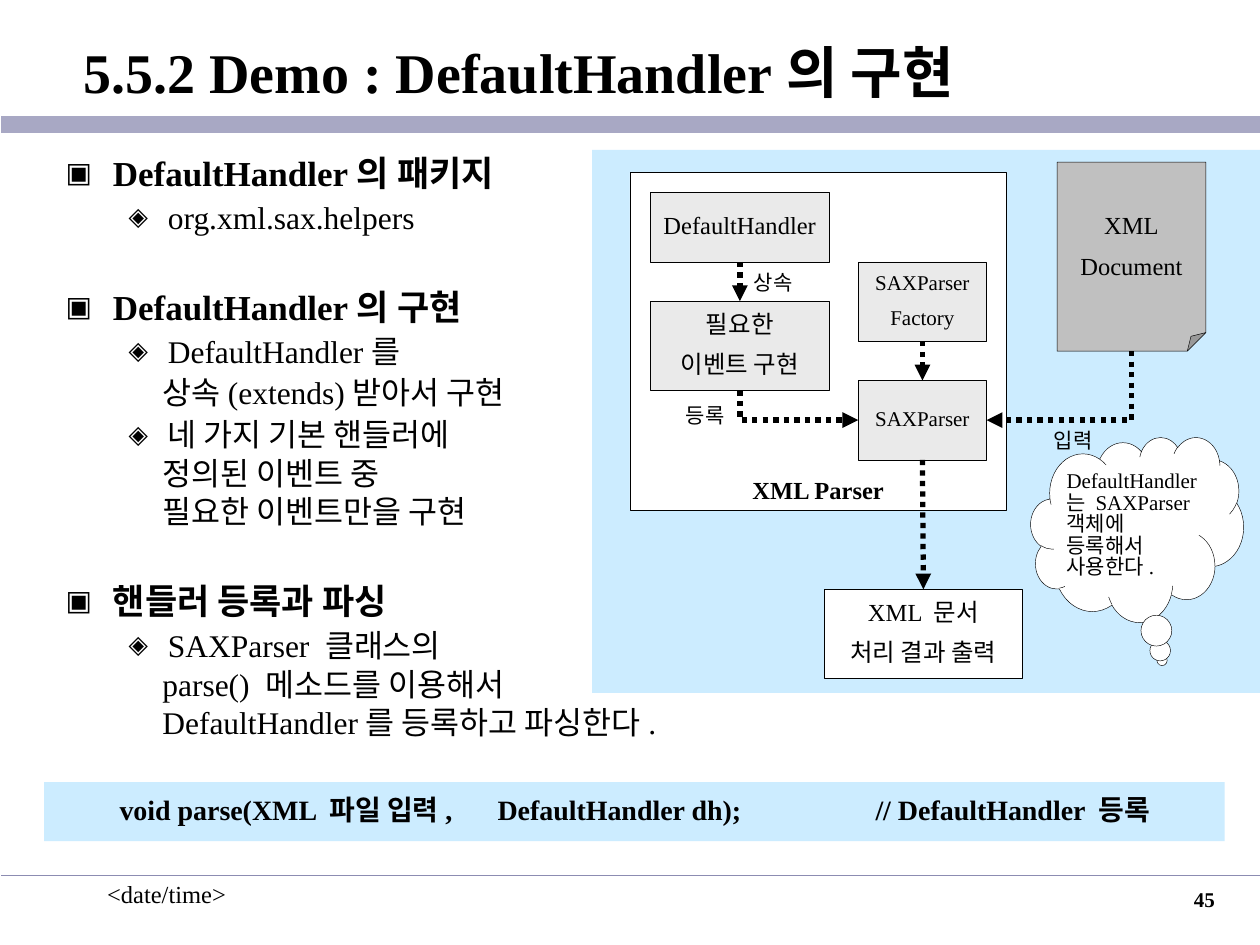
from dataclasses import dataclass
from lxml import etree
from pptx import Presentation
from pptx import util as u
from pptx.dml.color import RGBColor
from pptx.enum import dml, shapes, text
from pptx.oxml.ns import qn

@dataclass(frozen=True)
class Theme:
    font: str = "Times New Roman"
    ink: str = "000000"
    paper: str = "FFFFFF"
    panel: str = "CCECFF"
    node: str = "EAEAEA"
    document: str = "C0C0C0"
    title_rule: str = "A8A8C4"
    footer_rule: str = "8C8CB2"
    title: int = 32
    heading: int = 20
    item: int = 18
    code: int = 16
    normal: int = 14
    small: int = 12

THEME = Theme()
RECT = shapes.MSO_SHAPE.RECTANGLE
STRAIGHT, ELBOW = shapes.MSO_CONNECTOR.STRAIGHT, shapes.MSO_CONNECTOR.ELBOW
ALIGN, ANCHOR = text.PP_ALIGN, text.MSO_ANCHOR
TOP, LEFT, BOTTOM, RIGHT = range(4)
TOPICS = [  # heading, then items made of one or more lines
    ("DefaultHandler의 패키지", [["org.xml.sax.helpers"]]),
    ("DefaultHandler의 구현", [
        ["DefaultHandler를", "상속(extends)받아서 구현"],
        ["네 가지 기본 핸들러에", "정의된 이벤트 중", "필요한 이벤트만을 구현"]]),
    ("핸들러 등록과 파싱", [
        ["SAXParser 클래스의", "parse() 메소드를 이용해서",
         "DefaultHandler를 등록하고 파싱한다."]]),
]

def lengths(values):
    return [u.Cm(value) for value in values]

def inside(box, left, top, width, height):
    """Shift a rectangle given relative to box onto the page."""
    return box[0] + left, box[1] + top, width, height

def add_xml(parent, tag, **attributes):
    return etree.SubElement(parent, qn(tag), **attributes)

def style(para, size, bold=False):
    para.font.name = THEME.font
    para.font.size = u.Pt(size)
    para.font.bold = bold
    para.font.color.rgb = RGBColor.from_string(THEME.ink)

def write(shape, lines, size, bold=False, align=ALIGN.CENTER,
          anchor=ANCHOR.MIDDLE, wrap=False, spacing=0.85, tabs=()):
    frame = shape.text_frame
    frame.word_wrap = wrap
    frame.vertical_anchor = anchor
    frame.text = "\n".join(lines)
    for index, para in enumerate(frame.paragraphs):
        para.alignment = align
        para.line_spacing = spacing
        para.space_before = u.Pt(0.625 * size if index else 0)
        if tabs:
            stops = add_xml(para._p.get_or_add_pPr(), "a:tabLst")
            for position in tabs:
                add_xml(stops, "a:tab", pos=str(u.Cm(position)), algn="l")
        style(para, size, bold)
    return frame

def add_block(page, box, fill, kind=RECT, outlined=True, **adjustments):
    shape = page.shapes.add_shape(kind, *lengths(box))
    shape.shadow.inherit = False
    shape.fill.solid()
    shape.fill.fore_color.rgb = RGBColor.from_string(fill)
    if outlined:
        shape.line.color.rgb = RGBColor.from_string(THEME.ink)
        shape.line.width = u.Pt(0.25)
    else:
        shape.line.fill.background()
    if adjustments:
        guides = shape._element.spPr.find(qn("a:prstGeom")).get_or_add_avLst()
        guides.clear()
        for name, value in adjustments.items():
            add_xml(guides, "a:gd", name=name, fmla=f"val {value}")
    return shape

def add_label(page, box, words, size=THEME.small, **options):
    write(page.shapes.add_textbox(*lengths(box)), [words], size, anchor=ANCHOR.TOP, **options)

def add_line(page, color, width, ends=(0, 0, 0, 0), kind=STRAIGHT):
    line = page.shapes.add_connector(kind, *lengths(ends))
    line.line.color.rgb = RGBColor.from_string(color)
    line.line.width = u.Pt(width)
    add_xml(line._element.spPr, "a:effectLst")
    return line

def add_arrow(page, start, end, end_side=TOP, kind=STRAIGHT):
    arrow = add_line(page, THEME.ink, 3, kind=kind)
    arrow.line.dash_style = dml.MSO_LINE.ROUND_DOT
    add_xml(arrow._element.spPr.find(qn("a:ln")), "a:tailEnd", type="triangle")
    arrow.begin_connect(start, BOTTOM)
    arrow.end_connect(end, end_side)
    return arrow

def add_corner_arrow(page, start, end, end_side):
    """Arrow going down from start, then sideways into end."""
    arrow = add_arrow(page, start, end, end_side, ELBOW)
    start_x, start_y = start.left + start.width // 2, start.top + start.height
    end_x = end.left + (end.width if end_side == RIGHT else 0)
    end_y = end.top + end.height // 2
    across, down = abs(end_x - start_x), end_y - start_y
    arrow.left, arrow.top = (start_x + end_x - down) // 2, (start_y + end_y - across) // 2
    arrow.width, arrow.height = down, across
    arrow._element.spPr.find(qn("a:prstGeom")).set("prst", "bentConnector2")
    frame = arrow._element.spPr.find(qn("a:xfrm"))
    to_right = end_x > start_x
    frame.set("rot", str((270 if to_right else 90) * 60000))
    frame.set("flipH", str(int(to_right)))
    frame.set("flipV", "0")

def move(placeholder, box):
    (placeholder.left, placeholder.top,
     placeholder.width, placeholder.height) = lengths(box)
    placeholder.text_frame.auto_size = text.MSO_AUTO_SIZE.NONE

def fill_title(page, box):
    move(page.shapes.title, box)
    frame = write(page.shapes.title, ["5.5.2 Demo : DefaultHandler의 구현"], THEME.title,
                  bold=True, align=ALIGN.LEFT, wrap=True, spacing=1.0)
    frame.margin_left = u.Cm(1.65)

def set_bullet(para, mark, margin, hanging):
    properties = para._p.get_or_add_pPr()
    properties.set("marL", str(u.Cm(margin)))
    properties.set("indent", str(-u.Cm(hanging)))
    if mark:
        add_xml(add_xml(properties, "a:buClr"), "a:srgbClr", val=THEME.ink)
        add_xml(properties, "a:buSzPct", val="80000")
        add_xml(properties, "a:buFont", typeface=THEME.font)
        add_xml(properties, "a:buChar", char=mark)
    else:
        add_xml(properties, "a:buNone")

def fill_topics(page, box):
    body = page.placeholders[1]
    move(body, box)
    frame = body.text_frame

    def add(words, level, bullet, size, before, spacing=0.9):
        first = not frame.paragraphs[0].text
        para = frame.paragraphs[0] if first else frame.add_paragraph()
        para.text, para.level, para.line_spacing = words, level, spacing
        para.space_before = u.Pt(0 if first else before)
        set_bullet(para, *bullet)
        style(para, size, bold=level == 0)

    for heading, items in TOPICS:
        add(heading, 0, ("▣", 0.95, 0.95), THEME.heading, 31)
        for first_line, *more in items:
            add(first_line, 1, ("◈", 2.06, 0.79), THEME.item, 4.5)
            for line in more:
                add(line, 1, (None, 1.95, 0), THEME.item, 4.5, 0.9 if len(more) == 1 else 0.8)

def draw_parser_diagram(page, box):
    def node(place, lines, size=THEME.normal, fill=THEME.node, kind=RECT, **adjustments):
        shape = add_block(page, inside(box, *place), fill, kind, **adjustments)
        write(shape, lines, size)
        return shape

    add_block(page, box, THEME.panel, outlined=False)
    frame = add_block(page, inside(box, 0.76, 0.46, 7.59, 6.81), THEME.paper)
    write(frame, ["XML Parser"], THEME.normal, bold=True, anchor=ANCHOR.BOTTOM)
    factory = node((5.36, 2.26, 2.59, 1.6), ["SAXParser", "Factory"], THEME.small)
    parser = node((5.36, 4.65, 2.59, 1.6), ["SAXParser"], THEME.small)
    events = node((1.17, 3.05, 3.61, 1.8), ["필요한", "이벤트 구현"])
    handler = node((1.17, 0.86, 3.61, 1.4), ["DefaultHandler"])
    result = node((4.68, 8.86, 3.99, 1.8), ["XML 문서", "처리 결과 출력"], fill=THEME.paper)
    document = node((9.37, 0.25, 3, 3.81), ["XML", "Document"], fill=THEME.document,
                    kind=shapes.MSO_SHAPE.FOLDED_CORNER, adj=12500)
    for start, end in ((handler, events), (factory, parser), (parser, result)):
        add_arrow(page, start, end)
    add_corner_arrow(page, events, parser, LEFT)
    add_corner_arrow(page, document, parser, RIGHT)
    for left, top, words in ((2.97, 2.36, "상속"), (1.6, 5.05, "등록"), (9.02, 5.56, "입력")):
        add_label(page, inside(box, left, top, 1.35, 0.69), words)
    cloud = add_block(page, inside(box, 8.84, 5.79, 4.29, 3.73), THEME.paper,
                      shapes.MSO_SHAPE.CLOUD_CALLOUT, adj1=11700, adj2=70800)
    note = write(cloud, ["DefaultHandler는 SAXParser 객체에 등록해서 사용한다."],
                 THEME.small, align=ALIGN.LEFT, wrap=True)
    note.margin_left, note.margin_right = u.Cm(0.13), 0

def draw_code_strip(page, box):
    strip = add_block(page, box, THEME.panel, outlined=False)
    code = "void parse(XML 파일 입력,\tDefaultHandler dh);\t// DefaultHandler 등록"
    frame = write(strip, [code], THEME.code, bold=True, align=ALIGN.LEFT, wrap=True,
                  tabs=(7.62, 15.24))
    frame.margin_left = u.Cm(1.52)

def draw_footer(page, box):
    left, top, width, _ = box
    add_line(page, THEME.footer_rule, 1, (left, top, left + width, top))
    add_label(page, inside(box, 1.88, -0.05, 5.28, 1.27), "<date/time>", THEME.normal,
              align=ALIGN.LEFT, wrap=True, spacing=1.0)
    add_label(page, inside(box, 19.43, 0.1, 5.28, 1.27), "45", bold=True,
              align=ALIGN.RIGHT, wrap=True, spacing=1.0)

deck = Presentation()
deck.slide_width, deck.slide_height = lengths((25.4, 19.05))
slide = deck.slides.add_slide(deck.slide_layouts[1])
fill_title(slide, (0.03, 0.28, 25.37, 2.29))
add_line(slide, THEME.title_rule, 9.25, (0.03, 2.51, 25.4, 2.51))
fill_topics(slide, (1.07, 3.02, 23.27, 12.57))
draw_parser_diagram(slide, (11.94, 3.02, 13.46, 10.95))
draw_code_strip(slide, (0.89, 15.77, 23.8, 1.19))
draw_footer(slide, (0.03, 17.65, 25.37, 1.4))
deck.save("out.pptx")
